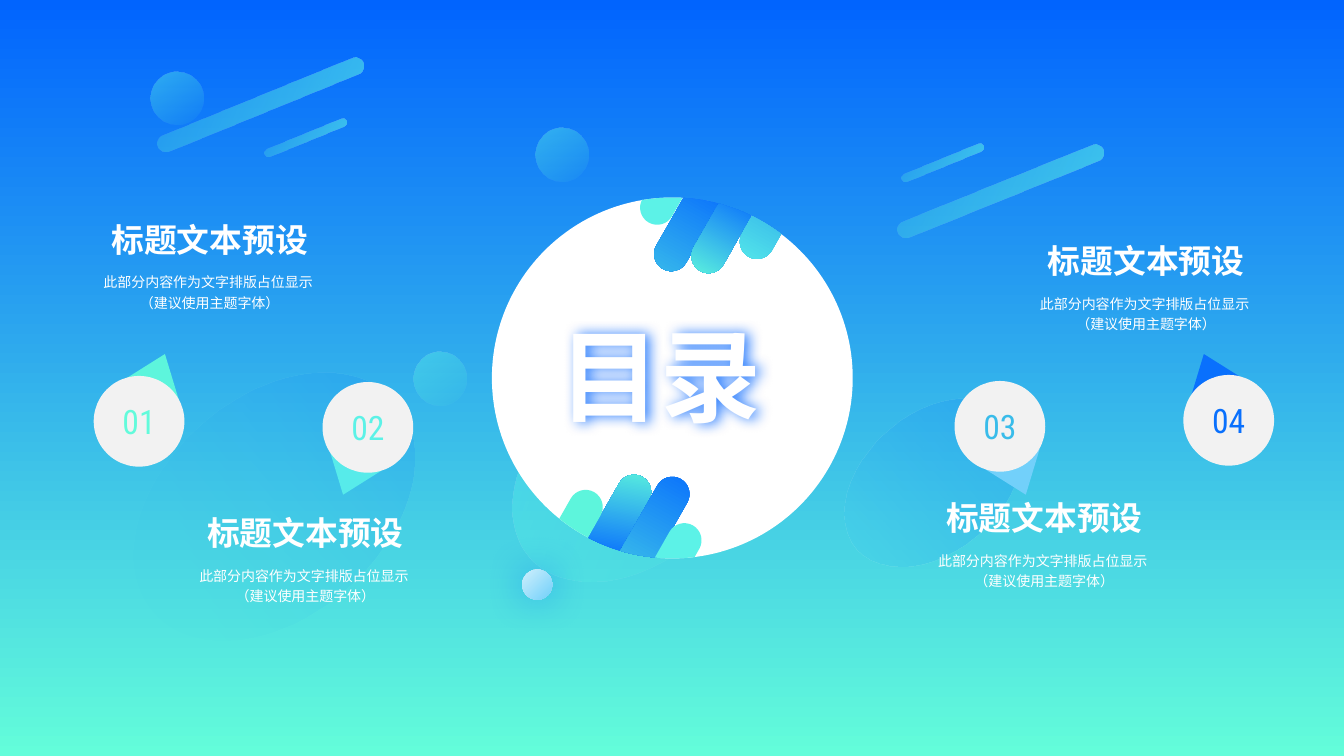
from math import cos, sin, atan2, pi, radians, sqrt, tan

from lxml.etree import SubElement
from pptx import Presentation
from pptx.dml.color import RGBColor
from pptx.enum.shapes import MSO_SHAPE as Shape
from pptx.enum.text import MSO_ANCHOR as Anchor, PP_ALIGN as Align
from pptx.oxml.ns import qn
from pptx.util import Pt

PX = 9144
WHITE = RGBColor(0xFF, 0xFF, 0xFF)
DISC_GREY = RGBColor(0xF2, 0xF2, 0xF2)
ROYAL = RGBColor(0x01, 0x64, 0xFE)
BLUE = RGBColor(0x09, 0x70, 0xFD)
GLOW_BLUE = RGBColor(0x10, 0x7B, 0xF9)
SKY = RGBColor(0x39, 0xBC, 0xEA)
PALE = RGBColor(0xCF, 0xF0, 0xFC)
LIGHT = RGBColor(0x72, 0xD0, 0xFA)
CYAN = RGBColor(0x57, 0xEB, 0xEA)
AQUA = RGBColor(0x5C, 0xF2, 0xE7)
TEAL = RGBColor(0x5D, 0xF5, 0xDC)
MINT = RGBColor(0x62, 0xFB, 0xDB)
SEA = RGBColor(0x63, 0xFD, 0xDA)

CJK_FONT = "Noto Sans CJK SC"
NUMBER_FONT = "Roboto Condensed"
HEADING = "标题文本预设"
BODY = "此部分内容作为文字排版占位显示 \n（建议使用主题字体）"

HUB_X, HUB_Y, HUB_R = 667, 375, 179
PETAL_R = 17
TILT = 29.6
UP, DOWN = -pi / 2, pi / 2


def paint(fill, colors, angle=0):
    """Fill with one colour, or with a two-colour gradient turned clockwise by angle."""
    if isinstance(colors, RGBColor):
        fill.solid()
        fill.fore_color.rgb = colors
        return
    fill.gradient()
    fill.gradient_angle = (360 - angle) % 360
    for stop, color in zip(fill.gradient_stops, colors):
        stop.color.rgb = color


def finish(shape, colors, angle=0, opacity=None):
    shape.shadow.inherit = False
    shape.line.fill.background()
    paint(shape.fill, colors, angle)
    if opacity:
        stops = shape._element.spPr.iter(qn("a:srgbClr"))
        for color, percent in zip(stops, opacity):
            SubElement(color, qn("a:alpha"), val=str(percent * 1000))
    return shape


def add_preset(page, kind, at, colors, angle=0, opacity=None, turn=0):
    shape = page.shapes.add_shape(kind, *(PX * length for length in at))
    shape.rotation = turn
    return finish(shape, colors, angle, opacity)


def add_glow(shape, color, percent, blur, distance=0):
    shape.shadow.inherit = False
    effects = shape._element.spPr.find(qn("a:effectLst"))
    glow = SubElement(effects, qn("a:outerShdw"), blurRad=str(Pt(blur)),
                      dist=str(Pt(distance)), dir="0", algn="ctr", rotWithShape="0")
    tint = SubElement(glow, qn("a:srgbClr"), val=str(color))
    SubElement(tint, qn("a:alpha"), val=str(percent * 1000))


def write(shape, text, *, size, color=WHITE, font=CJK_FONT, bold=False, wrap=False,
          align=Align.CENTER, anchor=Anchor.TOP, spacing=None, margins=(0, 0)):
    frame = shape.text_frame
    frame.word_wrap = wrap
    frame.vertical_anchor = anchor
    frame.margin_left = frame.margin_right = PX * margins[0]
    frame.margin_top = frame.margin_bottom = PX * margins[1]
    para = frame.paragraphs[0]
    para.alignment = align
    if spacing:
        para.line_spacing = spacing
    for number, line in enumerate(text.split("\n")):
        if number:
            para.add_line_break()
        span = para.add_run()
        span.text = line
        span.font.size = Pt(size)
        span.font.bold = bold
        span.font.color.rgb = color
        span.font.name = font
        SubElement(span._r.rPr, qn("a:ea"), typeface=font)


def add_text(page, at, text, **style):
    box = page.shapes.add_textbox(*(PX * length for length in at))
    write(box, text, **style)
    return box


def rotate(x, y, degrees):
    """Turn a point clockwise about the hub's centre."""
    turn = radians(degrees)
    dx, dy = x - HUB_X, y - HUB_Y
    return (HUB_X + dx * cos(turn) - dy * sin(turn),
            HUB_Y + dx * sin(turn) + dy * cos(turn))


def curve(x, y, radius, start, end):
    """Give the four Bezier points of a circular arc."""
    pull = 4 / 3 * tan((end - start) / 4)
    ends = [(cos(a), sin(a), p) for a, p in
            ((start, 0), (start, pull), (end, -pull), (end, 0))]
    return [(x + radius * (c - p * s), y + radius * (s + p * c)) for c, s, p in ends]


def rim_angle(x, heading):
    """Angle at which an upright line at x crosses the hub's rim."""
    dx = x - HUB_X
    return atan2(sin(heading) * sqrt(HUB_R ** 2 - dx ** 2), dx)


def add_petal(page, x, y, heading, colors, angle=0):
    """Draw a slanted bar with a round inner end, cut off at the hub's rim."""
    x, y = rotate(x, y, -TILT)
    back = heading + pi
    cap = (curve(x, y, PETAL_R, back - pi / 2, back)
           + curve(x, y, PETAL_R, back, back + pi / 2)[1:])
    rim = curve(HUB_X, HUB_Y, HUB_R, rim_angle(cap[-1][0], heading),
                rim_angle(cap[0][0], heading))
    start, *rest = [(round(PX * px), round(PX * py)) for px, py in cap + rim]
    builder = page.shapes.build_freeform(*start)
    builder.add_line_segments(rest)
    shape = finish(builder.convert_to_shape(), colors, angle)
    lines = list(shape._element.spPr.iter(qn("a:lnTo")))
    for first in (0, 3, 7):
        bend = lines[first]
        bend.tag = qn("a:cubicBezTo")
        for line in lines[first + 1:first + 3]:
            bend.append(line[0])
            line.getparent().remove(line)
    middle_x = (shape.left + shape.width / 2) / PX
    middle_y = (shape.top + shape.height / 2) / PX
    turned_x, turned_y = rotate(middle_x, middle_y, TILT)
    shape.left += round(PX * (turned_x - middle_x))
    shape.top += round(PX * (turned_y - middle_y))
    shape.rotation = TILT


def add_decor(page):
    for at, colors, opacity, angle in (
            ((491, 367, 277, 189), (CYAN, TEAL), (49, 0), 60),
            ((826, 411, 200, 136), (CYAN, ROYAL), (37, 18), 0),
            ((113, 394, 318, 217), (CYAN, ROYAL), (0, 18), 0)):
        add_preset(page, Shape.OVAL, at, colors, angle, opacity, turn=319)
    for left, top in ((531, 127), (410, 349), (149, 71)):
        add_preset(page, Shape.OVAL, (left, top, 53, 53), (CYAN, TEAL), 60, (49, 0))
    pearl = add_preset(page, Shape.OVAL, (518, 565, 30, 30), (PALE, LIGHT), 45)
    add_glow(pearl, GLOW_BLUE, 54, 28)
    for at in ((883, 181, 219, 17), (892, 157, 87, 8),
               (149, 95, 219, 17), (260, 132, 87, 8)):
        bar = add_preset(page, Shape.ROUNDED_RECTANGLE, at, (TEAL, CYAN), 45,
                         (20, 66), turn=338)
        bar.adjustments[0] = 0.5


def add_hub(page):
    hub = page.shapes.add_group_shape()
    add_preset(hub, Shape.OVAL,
               (HUB_X - HUB_R, HUB_Y - HUB_R, 2 * HUB_R, 2 * HUB_R), WHITE)
    for petal in ((652, 206, UP, AQUA),
                  (666, 252, UP, (BLUE, SKY), 90),
                  (703, 254, UP, (BLUE, MINT), 90),
                  (751, 240, UP, (SKY, CYAN), 90),
                  (629, 488, DOWN, (BLUE, TEAL), 250),
                  (667, 490, DOWN, (BLUE, SKY), 90),
                  (581, 503, DOWN, TEAL),
                  (679, 536, DOWN, AQUA)):
        add_petal(hub, *petal)


def add_entry(page, number, color, disc, pointer, pointer_color, turn, center, top):
    """Add a numbered disc with its pointer, and a heading over two lines of text."""
    entry = page.shapes.add_group_shape()
    add_preset(entry, Shape.ISOSCELES_TRIANGLE, (*pointer, 58, 38), pointer_color,
               turn=turn)
    badge = add_preset(entry, Shape.OVAL, (*disc, 90, 90), DISC_GREY)
    write(badge, number, size=24, color=color, font=NUMBER_FONT, anchor=Anchor.MIDDLE)
    add_text(entry, (center - 153, top + 40, 306, 61), BODY, size=10, wrap=True,
             anchor=Anchor.MIDDLE, spacing=1.2)
    add_text(entry, (center - 101, top, 202, 40), HEADING, size=23.4, bold=True)


def main():
    deck = Presentation()
    deck.slide_width, deck.slide_height = PX * 4000 // 3, PX * 750
    page = deck.slides.add_slide(deck.slide_layouts[6])
    paint(page.background.fill, (ROYAL, SEA), 90)
    add_decor(page)
    add_hub(page)
    for entry in (
            ("01", MINT, (93, 373), (128, 350), TEAL, 20.5, 208, 218),
            ("02", AQUA, (320, 379), (318, 454), CYAN, 200.5, 303, 509),
            ("04", BLUE, (1174, 372), (1172, 350), BLUE, 339.5, 1137, 239),
            ("03", SKY, (947, 378), (982, 454), LIGHT, 159.5, 1036, 494)):
        add_entry(page, *entry)
    title = add_text(page, (545, 306, 244, 131), "目录", size=72, bold=True,
                     wrap=True, align=Align.JUSTIFY, margins=(10, 5))
    add_glow(title, ROYAL, 80, 10, 3)
    deck.save("out.pptx")


if __name__ == "__main__":
    main()
